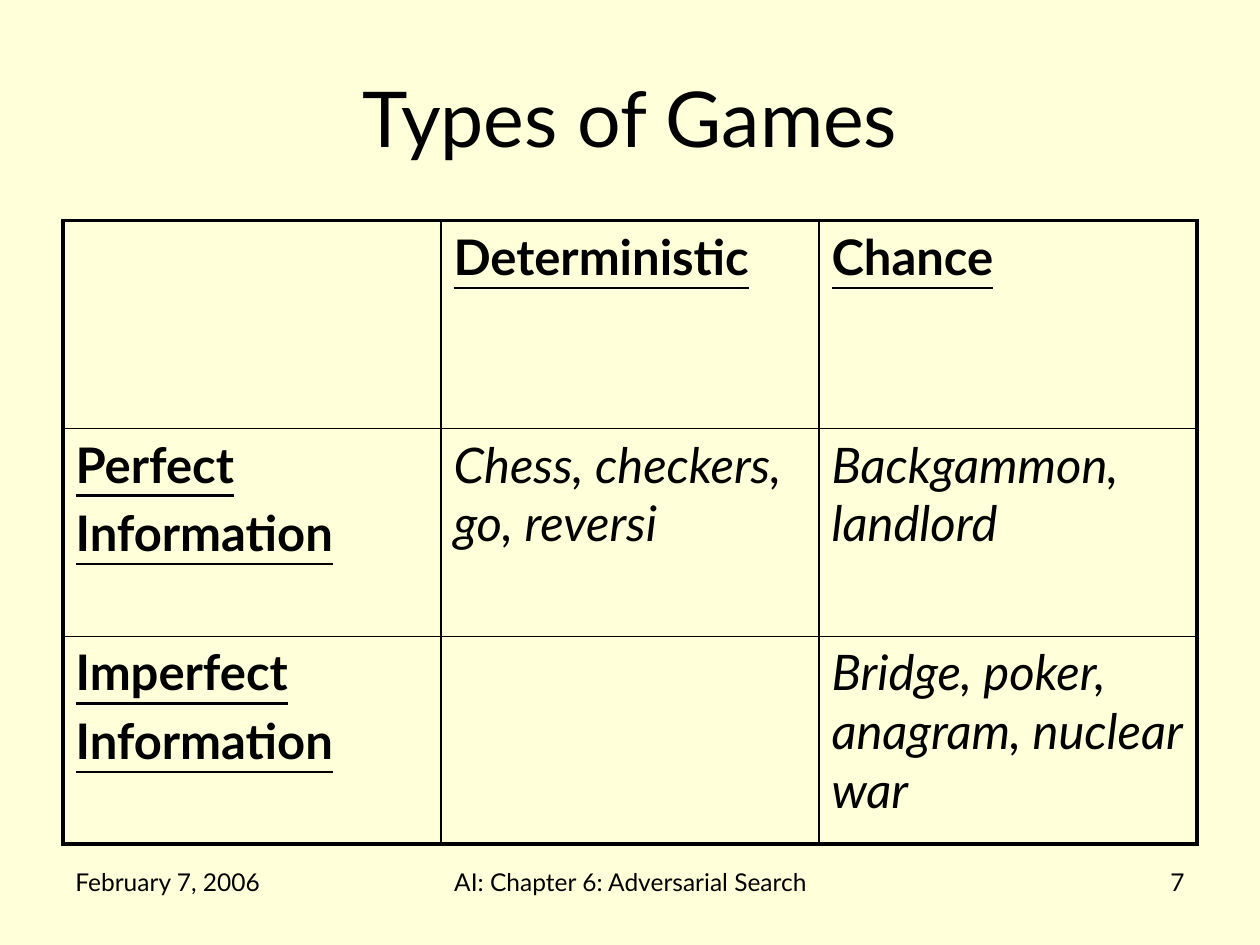
from pptx import Presentation
from pptx.dml.color import RGBColor as RGB
from pptx.enum.text import MSO_ANCHOR as Anchor, PP_ALIGN as Align
from pptx.oxml.ns import qn
from pptx.util import Inches, Pt
from lxml.etree import SubElement as Sub

FONT = "Lato"
COLORS = {"paper": "FFFFD9", "ink": "000000"}
THICK, THIN = 2.25, 1

GAMES = [
    ["", "Deterministic", "Chance"],
    ["Perfect\nInformation", "Chess, checkers, go, reversi",
     "Backgammon, landlord"],
    ["Imperfect\nInformation", "", "Bridge, poker, anagram, nuclear war"],
]
FOOTER = [
    ("February 7, 2006", 0.5, 2.33, Align.LEFT),
    ("AI: Chapter 6: Adversarial Search", 3.42, 3.17, Align.CENTER),
    ("7", 7.17, 2.33, Align.RIGHT),
]


def style(par, size, align=Align.LEFT, **marks):
    par.alignment = align
    for run in par.runs:
        font = run.font
        font.name, font.size = FONT, Pt(size)
        font.color.rgb = RGB.from_string(COLORS["ink"])
        for name, value in marks.items():
            setattr(font, name, value)


def add_title(slide, text):
    title = slide.shapes.title
    title.left, title.top = Inches(0.5), Inches(0.3)
    title.width, title.height = Inches(9), Inches(1.25)
    frame = title.text_frame
    frame.text = text
    frame.vertical_anchor = Anchor.MIDDLE
    style(frame.paragraphs[0], 44, Align.CENTER)


def add_note(slide, text, left, width, align):
    box = slide.shapes.add_textbox(
        Inches(left), Inches(6.83), Inches(width), Inches(0.52))
    frame = box.text_frame
    frame.word_wrap = True
    frame.text = text
    style(frame.paragraphs[0], 14, align)


def set_edges(cell, row, col, last):
    """Draw thick lines on the outside of the grid, thin ones inside."""
    outer = {"lnL": col == 0, "lnR": col == last,
             "lnT": row == 0, "lnB": row == last}
    props = cell._tc.get_or_add_tcPr()
    for tag, thick in outer.items():
        line = Sub(props, qn("a:" + tag), w=str(Pt(THICK if thick else THIN)))
        fill = Sub(line, qn("a:solidFill"))
        Sub(fill, qn("a:srgbClr"), val=COLORS["ink"])


def fill_cell(cell, text, head):
    cell.fill.background()
    frame = cell.text_frame
    frame.text = text
    for i, par in enumerate(frame.paragraphs):
        if i:
            par.space_before = Pt(5.6)
        style(par, 28, bold=head, underline=head, italic=not head)


def add_grid(slide, rows):
    count = len(rows)
    table = slide.shapes.add_table(
        count, count, Inches(0.5), Inches(1.75), Inches(9), Inches(4.95)).table
    table.first_row = table.horz_banding = False
    for r, texts in enumerate(rows):
        for c, text in enumerate(texts):
            cell = table.cell(r, c)
            set_edges(cell, r, c, count - 1)
            fill_cell(cell, text, head=r == 0 or c == 0)


def main():
    deck = Presentation()
    deck.slide_width, deck.slide_height = Inches(10), Inches(7.5)
    slide = deck.slides.add_slide(deck.slide_layouts[5])

    # Background
    paper = slide.background.fill
    paper.solid()
    paper.fore_color.rgb = RGB.from_string(COLORS["paper"])

    # Footer, title and table
    for note in FOOTER:
        add_note(slide, *note)
    add_title(slide, "Types of Games")
    add_grid(slide, GAMES)
    deck.save("out.pptx")


if __name__ == "__main__":
    main()
